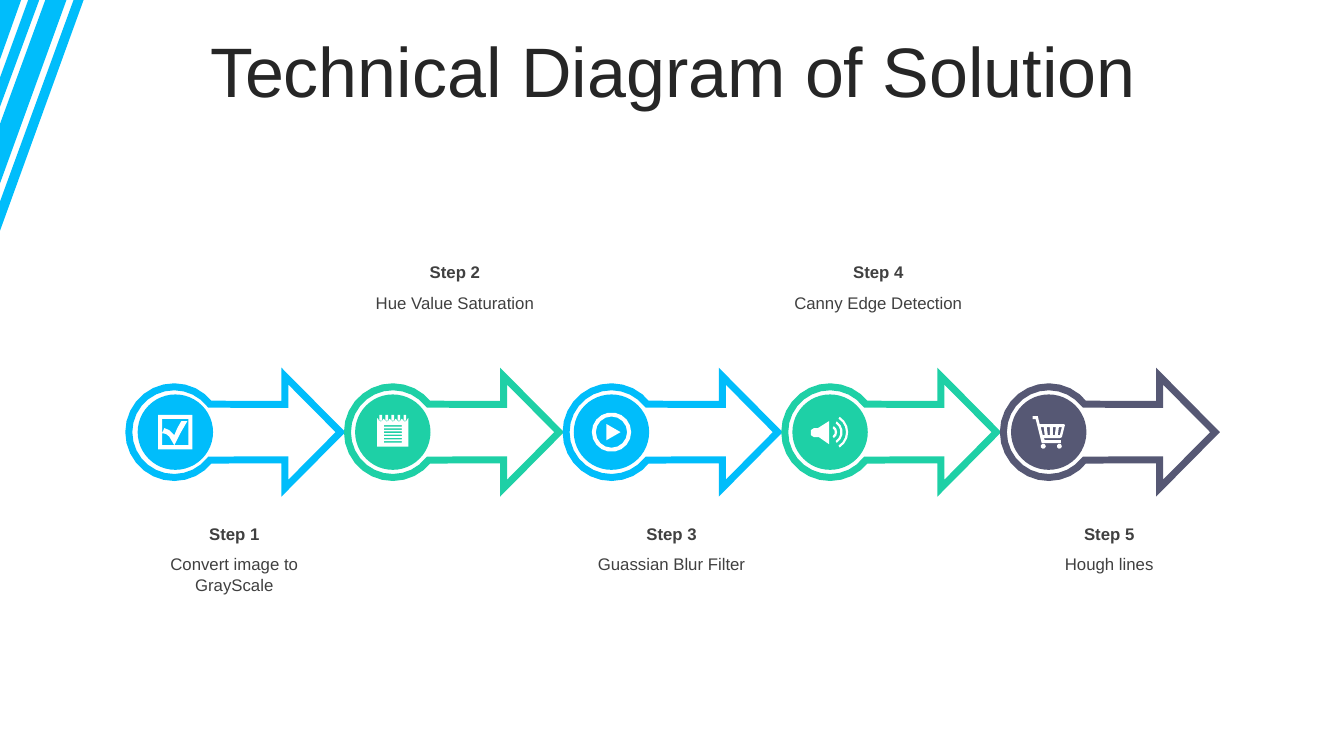
import math

import pptx
import pptx.dml.color
import pptx.enum.shapes
import pptx.enum.text
import pptx.util
from lxml import etree

Cm = pptx.util.Cm

# Content
TITLE = "Technical Diagram of Solution"
BLUE, GREEN, SLATE, WHITE = "00BDFB", "1ED0A6", "565874", "FFFFFF"
INK, GREY = "262626", "404040"
ABOVE, BELOW = 6.48, 13.08  # label tops, cm
STEPS = [  # heading, description, colour, icon, label left, label top
    ("Step 1", "Convert image to GrayScale", BLUE, "tick", 3.38, BELOW),
    ("Step 2", "Hue Value Saturation", GREEN, "notepad", 8.94, ABOVE),
    ("Step 3", "Guassian Blur Filter", BLUE, "play", 14.40, BELOW),
    ("Step 4", "Canny Edge Detection", GREEN, "speaker", 19.61, ABOVE),
    ("Step 5", "Hough lines", SLATE, "cart", 25.43, BELOW),
]

# Layout, cm
GRID = 2.54 / 100  # size of one drawing unit
FIRST_X, CENTRE_Y, PITCH = 4.39, 10.89, 5.51
DISC = 1.9
LABEL_WIDTH, LABEL_HEIGHT = 5.05, 0.76

# Corner stripes, in drawing units from the slide corner
STRIPES = [
    [(73, 0), (83, 0), (0, 229), (0, 200)],
    [(39, 0), (0, 106), (0, 77), (28, 0)],
    [(66, 0), (0, 182), (0, 123), (45, 0)],
    [(0, 0), (21, 0), (0, 59)],
]


# Outlines, in drawing units around a centre
def arc(x, y, radius, start, end):
    # Larger arcs get more segments
    count = max(3, math.ceil(abs(end - start) * math.sqrt(radius) / 90))
    angles = [math.radians(start + (end - start) * i / count) for i in range(count + 1)]
    return [(x + radius * math.cos(a), y + radius * math.sin(a)) for a in angles]


def circle(x, y, radius):
    return arc(x, y, radius, 0, 360)[:-1]


def rectangle(left, top, right, bottom):
    return [(left, top), (right, top), (right, bottom), (left, bottom)]


def notepad():
    pins = range(-12, 13, 6)
    notches = [point for x in pins for point in arc(x, -13, 2.5, 180, 0)]
    sheet = [(-15.5, -14), *notches, (15.5, -14), (15.5, 14.5), (-15.5, 14.5)]
    lines = [rectangle(-9, -7 + 3.2 * i, 9, -5.5 + 3.2 * i) for i in range(6)]
    return [sheet] + lines + [rectangle(x - 1.3, -17, x + 1.3, -11.5) for x in pins]


def speaker():
    horn = [(-1, -11), (-1, 12), (-11, 5), (-16, 5), (-19, 3),
            (-19, -2), (-16, -4), (-12, -4)]
    waves = [arc(0, 0, r, -58, 58) + arc(0, 0, r - 2.2, 58, -58) for r in (7, 12.5, 18)]
    return [horn] + waves


ARROW = [[(110, -55.5), (165, 0), (110, 55.5), (110, 27.5),
          *arc(0, 0, 45, 38, 322), (110, -27.5)]]
ICONS = {
    "tick": [
        rectangle(-17, -17, 17, 17),
        rectangle(-13, -13, 13, 13),
        [(-1, 13), (-6, 4.5), (-9, 2), (-13, 1), (-11, -4), (-6, -2),
         (-1, 3), (2, -4), (6, -11), (12, -11), (5, 1)],
    ],
    "notepad": notepad(),
    "play": [circle(0, 0, 19.5), circle(0, 0, 15.5), [(-5, -8), (9, 0), (-5, 8)]],
    "speaker": speaker(),
    "cart": [
        [(-11, -16), (-9, -8), (15, -8), (16, -7), (13, 5), (11, 6), (-5, 6),
         (-4, 8), (12, 8), (12, 11), (-7, 11), (-13, -13), (-16, -13), (-16, -16)],
        [(10, -5), (9, 3), (11, 3), (13, -5)],
        [(4, -5), (4, 3), (6, 3), (7, -5)],
        [(-2, -5), (-1, 3), (1, 3), (1, -5)],
        [(-8, -5), (-6, 3), (-4, 3), (-5, -5)],
        circle(10.5, 14, 2.5),
        circle(-5.5, 14, 2.5),
    ],
}


# Drawing helpers
def colour(value):
    return pptx.dml.color.RGBColor.from_string(value)


def paint(shape, fill, line=None, width=5):
    shape.shadow.inherit = False
    shape.fill.solid()
    shape.fill.fore_color.rgb = colour(fill)
    if line is None:
        shape.line.fill.background()
        return
    shape.line.color.rgb = colour(line)
    shape.line.width = pptx.util.Pt(width)
    outline = shape.line._get_or_add_ln()
    etree.SubElement(outline, pptx.oxml.ns.qn("a:miter"), lim="800000")


def add_outline(page, contours, x, y, fill, line=None):
    placed = [[(Cm(x + GRID * px), Cm(y + GRID * py)) for px, py in contour]
              for contour in contours]
    builder = page.shapes.build_freeform(*placed[0][0])
    for index, contour in enumerate(placed):
        if index:
            builder.move_to(*contour[0])
        builder.add_line_segments(contour[1:], close=True)
    paint(builder.convert_to_shape(), fill, line)


def add_text(page, text, left, top, width, height, size=12, ink=GREY,
             bold=False, spacing=None, middle=False):
    box = page.shapes.add_textbox(Cm(left), Cm(top), Cm(width), Cm(height))
    frame = box.text_frame
    frame.word_wrap = True
    if middle:
        frame.vertical_anchor = pptx.enum.text.MSO_ANCHOR.MIDDLE
    para = frame.paragraphs[0]
    para.alignment = pptx.enum.text.PP_ALIGN.CENTER
    if spacing:
        para.line_spacing = spacing
    span = para.add_run()
    span.text = text
    span.font.name = "Arial"
    span.font.size = pptx.util.Pt(size)
    span.font.bold = bold
    span.font.color.rgb = colour(ink)


def main():
    deck = pptx.Presentation()
    deck.slide_width, deck.slide_height = Cm(33.87), Cm(19.05)
    page = deck.slides.add_slide(deck.slide_layouts[6])

    # Corner and title
    add_outline(page, STRIPES, 0, 0, BLUE)
    add_text(page, TITLE, 0.89, 0.94, 32.16, 2.01, size=50, ink=INK,
             spacing=0.8, middle=True)

    # Arrows, discs, icons and labels
    for index, (heading, detail, tint, icon, left, top) in enumerate(STEPS):
        x = FIRST_X + PITCH * index
        add_outline(page, ARROW, x, CENTRE_Y, WHITE, tint)
        if index == 0:
            x += 0.03  # the first disc sits slightly to the right
        disc = page.shapes.add_shape(
            pptx.enum.shapes.MSO_SHAPE.OVAL,
            Cm(x - DISC / 2), Cm(CENTRE_Y - DISC / 2), Cm(DISC), Cm(DISC))
        paint(disc, tint)
        add_outline(page, ICONS[icon], x, CENTRE_Y, WHITE)
        add_text(page, heading, left, top, LABEL_WIDTH, LABEL_HEIGHT, bold=True)
        add_text(page, detail, left, top + LABEL_HEIGHT, LABEL_WIDTH, LABEL_HEIGHT)

    deck.save("out.pptx")


if __name__ == "__main__":
    main()
